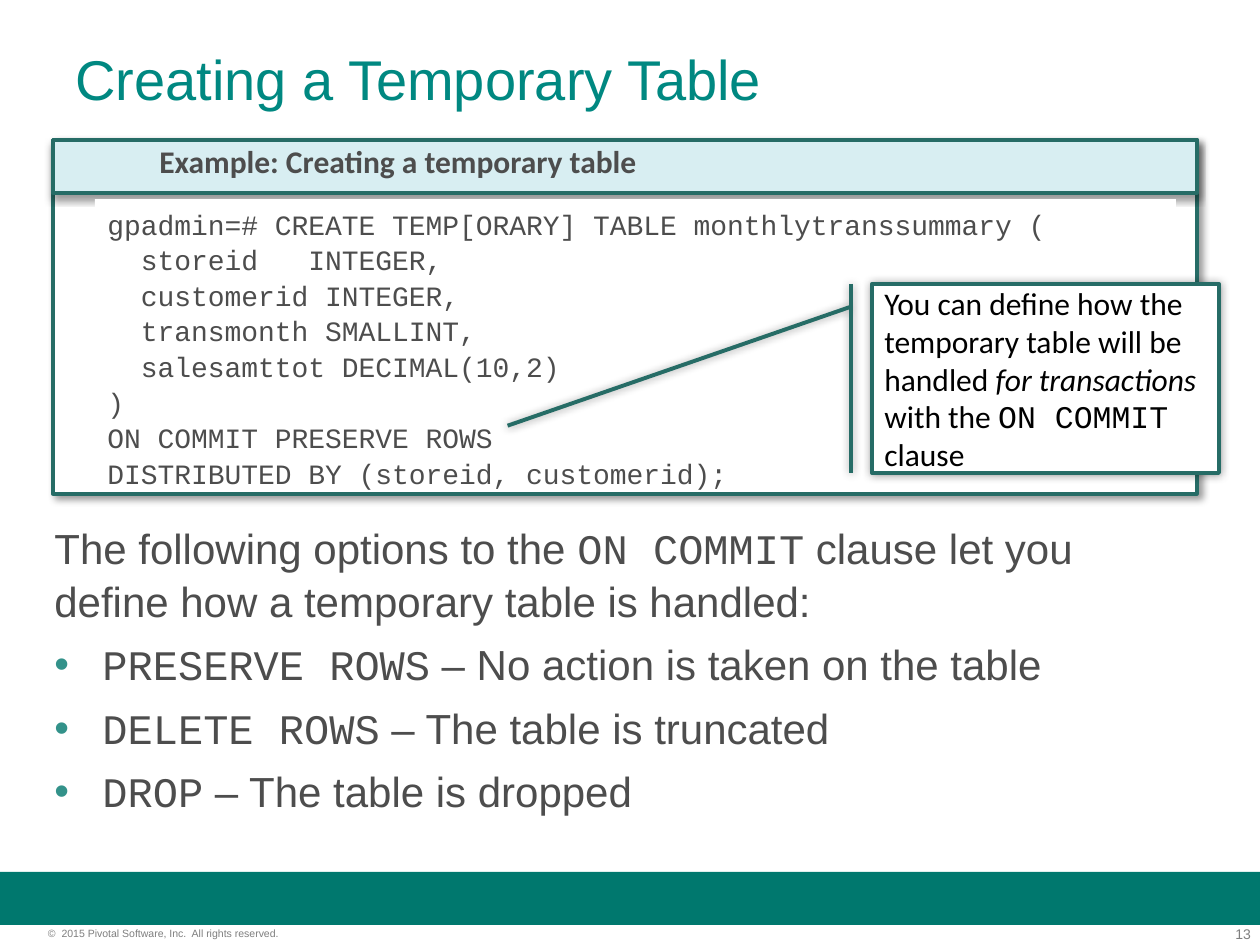
from dataclasses import dataclass

from lxml import etree
from pptx import Presentation
from pptx.dml.color import RGBColor
from pptx.enum.shapes import MSO_SHAPE
from pptx.enum.text import MSO_ANCHOR, PP_ALIGN
from pptx.oxml.ns import qn
from pptx.util import Emu, Pt

RECT = MSO_SHAPE.RECTANGLE
CALLOUT = MSO_SHAPE.LINE_CALLOUT_1_BORDER_AND_ACCENT_BAR
LEFT, RIGHT = PP_ALIGN.LEFT, PP_ALIGN.RIGHT
TOP, MIDDLE = MSO_ANCHOR.TOP, MSO_ANCHOR.MIDDLE
PX_PER_INCH = 126


@dataclass(frozen=True)
class Theme:
    band: str = "00786E"
    title: str = "008881"
    text: str = "4D4D4D"
    footer: str = "7F7F7F"
    bullet: str = "33928A"
    border: str = "266C66"
    header: str = "D8EEF2"
    white: str = "FFFFFF"
    black: str = "000000"
    sans: str = "Arial"
    label: str = "Calibri"
    mono: str = "Courier New"
    title_size: int = 32
    body_size: int = 24
    label_size: int = 18
    code_size: int = 16
    number_size: int = 8
    footer_size: int = 6


@dataclass(frozen=True)
class Box:
    x: int
    y: int
    w: int
    h: int


@dataclass(frozen=True)
class Shadow:
    blur: int
    dist: int
    angle: int


@dataclass(frozen=True)
class Run:
    text: str
    font: str
    italic: bool = False


@dataclass(frozen=True)
class Option:
    name: str
    effect: str


T = Theme()


def px(n: int) -> Emu:
    return Emu(round(n * 914400 / PX_PER_INCH))


def place(box: Box) -> tuple:
    return px(box.x), px(box.y), px(box.w), px(box.h)


def add_shadow(sp, shadow: Shadow) -> None:
    effects = sp._element.spPr.find(qn("a:effectLst"))
    outer = etree.SubElement(effects, qn("a:outerShdw"), blurRad=str(Pt(shadow.blur)),
                             dist=str(Pt(shadow.dist)), dir=str(shadow.angle * 60000),
                             algn="tl", rotWithShape="0")
    color = etree.SubElement(outer, qn("a:srgbClr"), val=T.black)
    etree.SubElement(color, qn("a:alpha"), val="40000")


def add_panel(s, box: Box, fill: str, kind=RECT, line: float = 0, shadow: Shadow | None = None):
    sp = s.shapes.add_shape(kind, *place(box))
    sp.shadow.inherit = False
    sp.fill.solid()
    sp.fill.fore_color.rgb = RGBColor.from_string(fill)
    if line:
        sp.line.color.rgb = RGBColor.from_string(T.border)
        sp.line.width = Pt(line)
    else:
        sp.line.fill.background()
    if shadow:
        add_shadow(sp, shadow)
    return sp


def add_bullet(p) -> None:
    pPr = p._p.get_or_add_pPr()
    pPr.set("marL", str(px(48)))
    pPr.set("indent", str(-px(48)))
    color = etree.SubElement(pPr, qn("a:buClr"))
    etree.SubElement(color, qn("a:srgbClr"), val=T.bullet)
    etree.SubElement(pPr, qn("a:buFont"), typeface=T.sans)
    etree.SubElement(pPr, qn("a:buChar"), char="•")


def write(tf, paragraphs: list[list[Run]], *, size: int, color: str = T.text,
          bold: bool = False, align=LEFT, anchor=TOP, wrap: bool = True, inset: bool = True,
          before: int = 0, spacing: float = 1.0, bullets_from: int | None = None) -> None:
    tf.word_wrap = wrap
    tf.vertical_anchor = anchor
    if not inset:
        tf.margin_left = tf.margin_right = tf.margin_top = tf.margin_bottom = 0
    for i, runs in enumerate(paragraphs):
        p = tf.add_paragraph() if i else tf.paragraphs[0]
        p.alignment = align
        p.line_spacing = spacing
        p.space_before = Pt(before if i else 0)
        if bullets_from is not None and i >= bullets_from:
            add_bullet(p)
        for run in runs:
            r = p.add_run()
            r.text = run.text
            r.font.name = run.font
            r.font.size = Pt(size)
            r.font.bold = bold
            r.font.italic = run.italic
            r.font.color.rgb = RGBColor.from_string(color)


def add_text(s, box: Box, paragraphs: list[list[Run]], **fmt) -> None:
    write(s.shapes.add_textbox(*place(box)).text_frame, paragraphs, **fmt)


CODE = """gpadmin=# CREATE TEMP[ORARY] TABLE monthlytranssummary (
  storeid   INTEGER,
  customerid INTEGER,
  transmonth SMALLINT,
  salesamttot DECIMAL(10,2)
)
ON COMMIT PRESERVE ROWS
DISTRIBUTED BY (storeid, customerid);"""

INTRO = [Run("The following options to the ", T.sans), Run("ON COMMIT", T.mono),
         Run(" clause let you define how a temporary table is handled:", T.sans)]

OPTIONS = [Option("PRESERVE ROWS", "No action is taken on the table"),
           Option("DELETE ROWS", "The table is truncated"),
           Option("DROP", "The table is dropped")]

NOTE = [Run("You can define how the temporary table will be handled ", T.label),
        Run("for transactions ", T.label, italic=True), Run("with the ", T.label),
        Run("ON COMMIT ", T.mono), Run("clause", T.label)]


def main() -> None:
    prs = Presentation()
    prs.slide_width, prs.slide_height = px(1260), px(945)
    s = prs.slides.add_slide(prs.slide_layouts[6])

    # Footer
    add_panel(s, Box(0, 872, 1260, 53), T.band)
    add_text(s, Box(1178, 926, 73, 16), [[Run("13", T.sans)]],
             size=T.number_size, color=T.footer, align=RIGHT, inset=False)
    add_text(s, Box(48, 927, 314, 13),
             [[Run("©  2015 Pivotal Software, Inc.  All rights reserved.", T.sans)]],
             size=T.footer_size, color=T.footer, inset=False)

    # Title and body
    add_text(s, Box(63, 38, 1134, 158), [[Run("Creating a Temporary Table", T.sans)]],
             size=T.title_size, color=T.title)
    options = [[Run(o.name, T.mono), Run(f" – {o.effect}", T.sans)] for o in OPTIONS]
    add_text(s, Box(42, 514, 1166, 305), [INTRO, *options],
             size=T.body_size, before=6, spacing=1.05, bullets_from=1)

    # Example panel with its header and code
    add_panel(s, Box(53, 140, 1144, 354), T.white, line=2, shadow=Shadow(4, 3, 45))
    add_panel(s, Box(53, 140, 1144, 53), T.header, line=2, shadow=Shadow(4, 3, 90))
    add_text(s, Box(147, 136, 507, 50), [[Run("Example: Creating a temporary table", T.label)]],
             size=T.label_size, bold=True, wrap=False)
    code = add_panel(s, Box(95, 199, 1081, 285), T.white)
    write(code.text_frame, [[Run(line, T.mono)] for line in CODE.splitlines()],
          size=T.code_size, spacing=1.06)

    # Callout pointing at the ON COMMIT line
    note = add_panel(s, Box(872, 284, 347, 189), T.white, kind=CALLOUT, line=2.25,
                     shadow=Shadow(5, 0, 0))
    note._element.spPr.find(qn("a:xfrm")).set("flipH", "1")
    for i, value in enumerate((0.12, 1.06, 0.75, 2.05)):
        note.adjustments[i] = value
    write(note.text_frame, [NOTE], size=T.label_size, color=T.black, anchor=MIDDLE)

    prs.save("out.pptx")


if __name__ == "__main__":
    main()
